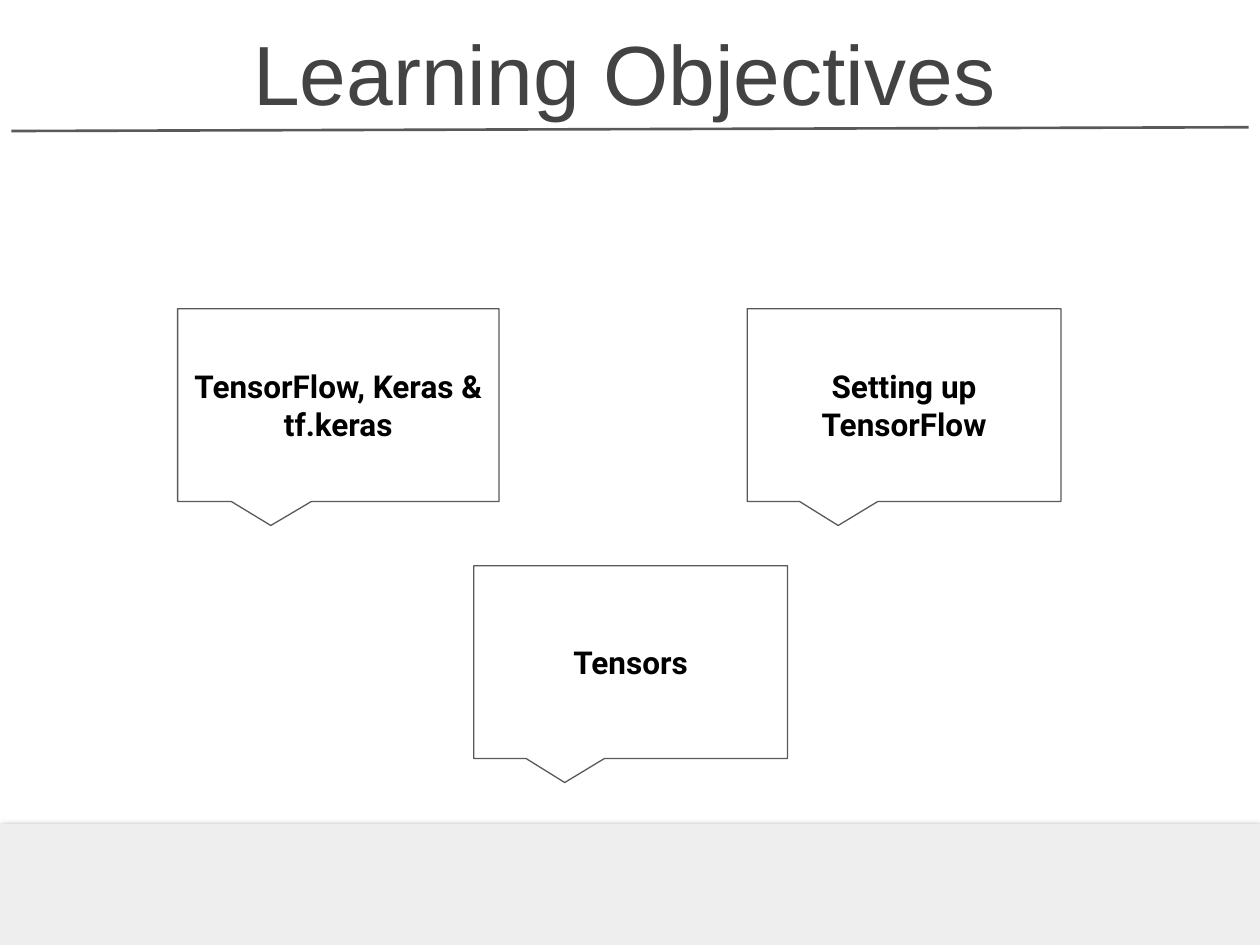
"""Build the Learning Objectives slide with three topic callouts."""
from lxml.etree import SubElement
from pptx import Presentation
from pptx.dml.color import RGBColor
from pptx.enum.shapes import MSO_CONNECTOR as Connector, MSO_SHAPE as Shape
from pptx.enum.text import MSO_ANCHOR as Anchor, PP_ALIGN as Align
from pptx.oxml.ns import qn
from pptx.util import Inches, Pt


def color(value):
    """Turn a hex string into a colour."""
    return RGBColor.from_string(value)


def write(shape, text, anchor, font_format, font_color):
    """Put centred, formatted text into a shape."""
    frame = shape.text_frame
    frame.text = text
    frame_format = {"word_wrap": True, "vertical_anchor": anchor}
    for side in ("left", "top", "right", "bottom"):
        frame_format[f"margin_{side}"] = Inches(0.1)
    for name, value in frame_format.items():
        setattr(frame, name, value)
    paragraph = frame.paragraphs[0]
    paragraph.alignment = Align.CENTER
    font = paragraph.runs[0].font
    for name, value in font_format.items():
        setattr(font, name, value)
    font.color.rgb = color(font_color)


presentation = Presentation()
presentation.slide_width, presentation.slide_height = Inches(10), Inches(7.5)
column, row = presentation.slide_width / 100, presentation.slide_height / 75
slide = presentation.slides.add_slide(presentation.slide_layouts[5])

rule = slide.shapes.add_connector(
    Connector.STRAIGHT, int(0.9 * column), int(10.4 * row), int(99.1 * column), int(10.1 * row))
rule.line.color.rgb = color("595959")
rule.line.width = Pt(1.5)
SubElement(rule._element.spPr, qn("a:effectLst"))

footer = slide.shapes.add_shape(
    Shape.RECTANGLE, 0, int(65.4 * row), presentation.slide_width, int(9.6 * row))
footer.fill.solid()
footer.fill.fore_color.rgb = color("EEEEEE")
footer.line.fill.background()
effects = SubElement(footer._element.spPr, qn("a:effectLst"))
shadow = SubElement(effects, qn("a:outerShdw"), blurRad=str(Pt(4.5)), dist=str(Pt(1.5)),
                    dir="5400000", algn="bl", rotWithShape="0")
shadow_color = SubElement(shadow, qn("a:srgbClr"), val="000000")
SubElement(shadow_color, qn("a:alpha"), val="50000")

title = slide.shapes.title
title.left, title.top = int(13 * column), int(1.9 * row)
title.width, title.height = int(73.1 * column), int(8.8 * row)
write(title, "Learning Objectives", Anchor.BOTTOM,
      {"name": "Arial", "size": Pt(48), "bold": False}, "434343")

topics = [
    ("TensorFlow, Keras & tf.keras", 14.1, 24.5, 25.5),
    ("Setting up TensorFlow", 59.3, 24.5, 24.9),
    ("Tensors", 37.6, 44.9, 24.9),
]
for text, left, top, width in topics:
    callout = slide.shapes.add_shape(
        Shape.ROUNDED_RECTANGULAR_CALLOUT,
        int(left * column), int(top * row), int(width * column), int(15.3 * row))
    for index, value in enumerate((-0.21, 0.625, 0)):
        callout.adjustments[index] = value
    callout.shadow.inherit = False
    callout.fill.background()
    callout.line.color.rgb = color("595959")
    callout.line.width = Pt(0.75)
    write(callout, text, Anchor.MIDDLE,
          {"name": "Roboto", "size": Pt(18), "bold": True}, "000000")

presentation.save("out.pptx")
